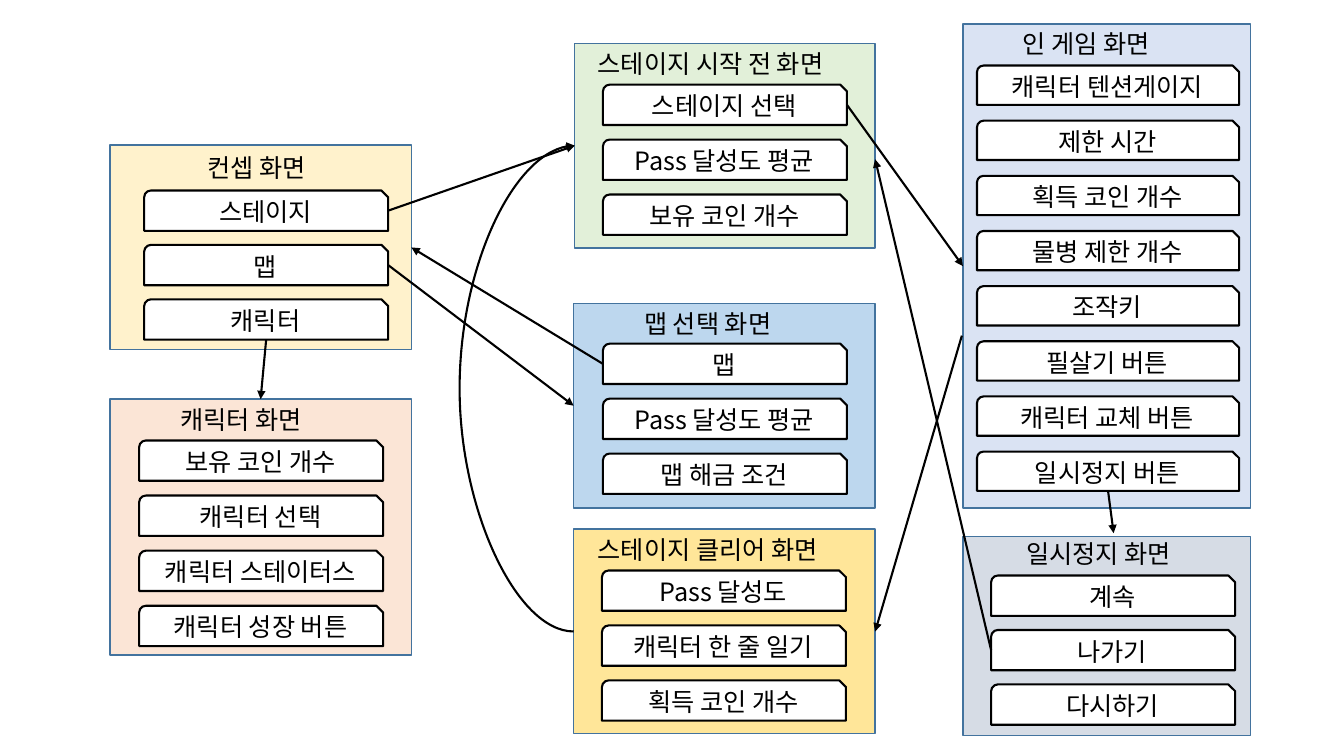
from lxml import etree
from pptx import Presentation
from pptx.dml.color import RGBColor
from pptx.enum.shapes import MSO_CONNECTOR as CONN, MSO_SHAPE as SHAPE
from pptx.enum.text import MSO_ANCHOR as ANCHOR, PP_ALIGN as ALIGN
from pptx.oxml import parse_xml
from pptx.oxml.ns import nsdecls, qn
from pptx.util import Inches, Pt

FONT = "Noto Sans CJK KR"
BLACK = RGBColor(0x00, 0x00, 0x00)
WHITE = RGBColor(0xFF, 0xFF, 0xFF)
BORDER = RGBColor(0x43, 0x73, 0x9E)
CREAM = RGBColor(0xFF, 0xF2, 0xCC)
PEACH = RGBColor(0xFB, 0xE5, 0xD6)
GREEN = RGBColor(0xE2, 0xF0, 0xD9)
BLUE = RGBColor(0xBD, 0xD7, 0xEE)
GOLD = RGBColor(0xFF, 0xE6, 0x99)
LAVENDER = RGBColor(0xDA, 0xE3, 0xF3)
GRAY = RGBColor(0xD6, 0xDC, 0xE5)
TOP, LEFT, BOTTOM, RIGHT = range(4)

prs = Presentation()
prs.slide_width, prs.slide_height = Inches(13.33), Inches(7.5)
s = prs.slides.add_slide(prs.slide_layouts[6])


def add_box(text, box, shape=None, fill=WHITE, line=BLACK, width=1.5,
            align=ALIGN.CENTER, anchor=ANCHOR.MIDDLE):
    """Add a preset shape, or a text box when no shape is given."""
    place = [Inches(v) for v in box]
    if shape is None:
        sp = s.shapes.add_textbox(*place)
    else:
        sp = s.shapes.add_shape(shape, *place)
        sp.shadow.inherit = False
        sp.fill.solid()
        sp.fill.fore_color.rgb = fill
        sp.line.color.rgb = line
        sp.line.width = Pt(width)
    if text:
        tf = sp.text_frame
        tf.word_wrap = True
        tf.vertical_anchor = anchor
        p = tf.paragraphs[0]
        p.alignment = align
        r = p.add_run()
        r.text = text
        r.font.size = Pt(18)
        r.font.color.rgb = BLACK
        r.font.name = FONT
        etree.SubElement(r.font._element, qn("a:ea")).set("typeface", FONT)
    return sp


def add_arrow(start, end, kind=CONN.STRAIGHT):
    """Each end is an (x, y) point or a (shape, side) pair to join."""
    points = [(0, 0) if hasattr(a, "shape_id") else (a, b) for a, b in (start, end)]
    c = s.shapes.add_connector(kind, *[Inches(v) for pt in points for v in pt])
    for (target, side), join in ((start, c.begin_connect), (end, c.end_connect)):
        if hasattr(target, "shape_id"):
            join(target, side)
    c.line.color.rgb = BLACK
    c.line.width = Pt(1.5)
    etree.SubElement(c.line._get_or_add_ln(), qn("a:tailEnd")).set("type", "triangle")
    etree.SubElement(c._element.spPr, qn("a:effectLst"))
    return c


# title, title box, panel box, fill, item left, first and last item top, item size, items
SCREENS = [
    ("컨셉 화면", (1.96, 1.46, 1.83, 0.4), (1.09, 1.44, 2.99, 2.03), CREAM,
     1.43, 1.89, 2.97, (2.42, 0.4), ["스테이지", "맵", "캐릭터"]),
    ("캐릭터 화면", (1.69, 3.96, 1.79, 0.4), (1.09, 3.96, 2.99, 2.54), PEACH,
     1.38, 4.37, 6.01, (2.42, 0.4),
     ["보유 코인 개수", "캐릭터 선택", "캐릭터 스테이터스", "캐릭터 성장 버튼"]),
    ("스테이지 시작 전 화면", (5.83, 0.43, 2.85, 0.4), (5.7, 0.43, 2.98, 2.03), GREEN,
     5.98, 0.84, 1.93, (2.42, 0.4), ["스테이지 선택", "Pass 달성도 평균", "보유 코인 개수"]),
    ("맵 선택 화면", (6.29, 3.01, 1.79, 0.4), (5.69, 3.01, 2.99, 2.03), BLUE,
     5.98, 3.41, 4.5, (2.42, 0.4), ["맵", "Pass 달성도 평균", "맵 해금 조건"]),
    ("스테이지 클리어 화면", (5.83, 5.25, 2.85, 0.4), (5.69, 5.25, 2.99, 2.03), GOLD,
     5.97, 5.66, 6.75, (2.42, 0.4), ["Pass 달성도", "캐릭터 한 줄 일기", "획득 코인 개수"]),
    ("인 게임 화면", (10.04, 0.23, 1.74, 0.4), (9.55, 0.24, 2.85, 4.8), LAVENDER,
     9.69, 0.65, 4.48, (2.6, 0.39),
     ["캐릭터 텐션게이지", "제한 시간", "획득 코인 개수", "물병 제한 개수",
      "조작키", "필살기 버튼", "캐릭터 교체 버튼", "일시정지 버튼"]),
    ("일시정지 화면", (10.08, 5.29, 1.93, 0.4), (9.55, 5.32, 2.85, 1.98), GRAY,
     9.83, 5.71, 6.79, (2.42, 0.4), ["계속", "나가기", "다시하기"]),
]

panels, titles, items = {}, {}, {}
for title, title_box, panel_box, fill, left, first, last, size, labels in SCREENS:
    panels[title] = add_box("", panel_box, SHAPE.RECTANGLE, fill, BORDER, 1)
    titles[title] = add_box(title, title_box, align=ALIGN.LEFT, anchor=ANCHOR.TOP)
    pitch = (last - first) / (len(labels) - 1)
    for i, label in enumerate(labels):
        items[title, label] = add_box(label, (left, first + i * pitch, *size),
                                      SHAPE.SNIP_ROUND_RECTANGLE)

concept, character, before, maps, clear, game, pause = panels
ARROWS = [
    ((items[concept, "스테이지"], RIGHT), (panels[before], LEFT)),
    ((items[concept, "맵"], RIGHT), (panels[maps], LEFT)),
    ((items[concept, "캐릭터"], BOTTOM), (panels[character], TOP)),
    ((items[maps, "맵"], LEFT), (panels[concept], RIGHT)),
    ((items[before, "스테이지 선택"], RIGHT), (panels[game], LEFT)),
    ((items[game, "일시정지 버튼"], BOTTOM), (titles[pause], TOP)),
    ((9.54, 3.33), (panels[clear], RIGHT)),
    ((items[pause, "나가기"], LEFT), (8.68, 1.58)),
]
for start, end in ARROWS:
    add_arrow(start, end)

# The bend is a share of the connector's width, in 1/100000
retry = add_arrow((panels[clear], LEFT), (panels[before], LEFT), CONN.CURVE)
bulge = round(-Inches(1.15) / retry.width * 100000)
geometry = retry._element.spPr.find(qn("a:prstGeom"))
geometry.replace(geometry.find(qn("a:avLst")), parse_xml(
    f'<a:avLst {nsdecls("a")}><a:gd name="adj1" fmla="val {bulge}"/></a:avLst>'))

prs.save("out.pptx")
